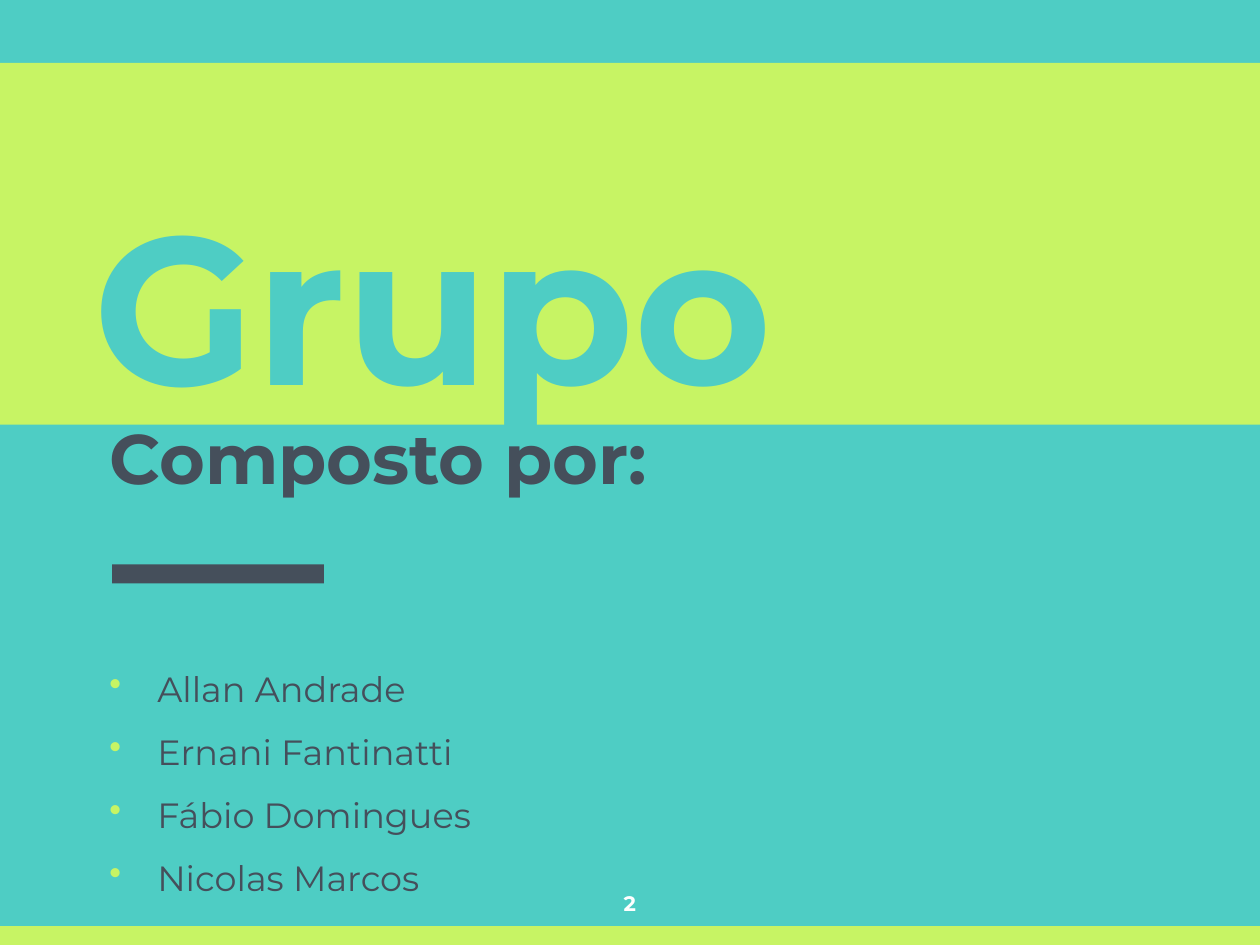
from dataclasses import dataclass
from lxml.etree import SubElement
from pptx import Presentation
from pptx.dml.color import RGBColor
from pptx.enum.shapes import MSO_SHAPE
from pptx.enum.text import MSO_ANCHOR, MSO_AUTO_SIZE, PP_ALIGN
from pptx.oxml.ns import qn
from pptx.util import Inches, Pt

COLORS = {"teal": "4ECDC4", "lime": "C7F464", "slate": "454F5B", "white": "FFFFFF"}
MEMBERS = ["Allan Andrade", "Ernani Fantinatti", "Fábio Domingues", "Nicolas Marcos"]


@dataclass
class Area:
    left: float
    top: float
    width: float
    height: float

    def lengths(self) -> list:
        return [Inches(value) for value in (self.left, self.top, self.width, self.height)]


@dataclass
class TextStyle:
    size: int
    color: str
    bold: bool = True
    align: PP_ALIGN = PP_ALIGN.LEFT
    anchor: MSO_ANCHOR = MSO_ANCHOR.TOP
    line_spacing: float = 1.0
    bulleted: bool = False


def color_of(name: str) -> RGBColor:
    return RGBColor.from_string(COLORS[name])


def add_bar(page, area: Area, color: str):
    bar = page.shapes.add_shape(MSO_SHAPE.RECTANGLE, *area.lengths())
    bar.shadow.inherit = False
    bar.fill.solid()
    bar.fill.fore_color.rgb = color_of(color)
    bar.line.fill.background()
    return bar


def add_bullet(paragraph) -> None:
    properties = paragraph._p.get_or_add_pPr()
    properties.set("marL", str(Inches(0.38)))
    properties.set("indent", str(-Inches(0.38)))
    bullet_color = SubElement(properties, qn("a:buClr"))
    SubElement(bullet_color, qn("a:srgbClr")).set("val", COLORS["lime"])
    SubElement(properties, qn("a:buChar")).set("char", "•")


def write_text(box, lines: list[str], style: TextStyle) -> None:
    frame = box.text_frame
    frame_format = {
        "word_wrap": True,
        "auto_size": MSO_AUTO_SIZE.NONE,
        "vertical_anchor": style.anchor,
        **{f"margin_{side}": Inches(0.1) for side in ("left", "top", "right", "bottom")},
    }
    for name, value in frame_format.items():
        setattr(frame, name, value)
    font_format = {"name": "Montserrat", "size": Pt(style.size), "bold": style.bold}
    for index, line in enumerate(lines):
        paragraph = frame.add_paragraph() if index else frame.paragraphs[0]
        paragraph.alignment = style.align
        paragraph.line_spacing = style.line_spacing
        if style.bulleted:
            add_bullet(paragraph)
        span = paragraph.add_run()
        span.text = line
        for name, value in font_format.items():
            setattr(span.font, name, value)
        span.font.color.rgb = color_of(style.color)


def add_text(page, area: Area, lines: list[str], style: TextStyle) -> None:
    write_text(page.shapes.add_textbox(*area.lengths()), lines, style)


def main() -> None:
    deck = Presentation()
    deck.slide_width, deck.slide_height = Inches(10), Inches(7.5)
    page = deck.slides.add_slide(deck.slide_layouts[5])
    page.background.fill.solid()
    page.background.fill.fore_color.rgb = color_of("teal")

    title = page.shapes.title
    title_area = Area(0.64, 1.8, 5.79, 1.69)
    for name, value in zip(("left", "top", "width", "height"), title_area.lengths()):
        setattr(title, name, value)
    write_text(title, ["Grupo"], TextStyle(120, "teal", anchor=MSO_ANCHOR.BOTTOM))

    for band_area in (Area(0, 7.35, 10, 0.15), Area(0, 0.5, 10, 2.87)):
        band = add_bar(page, band_area, "lime")
        title.element.addprevious(band.element)

    add_text(page, Area(0.77, 3.19, 5.9, 0.91), ["Composto por:"], TextStyle(40, "slate"))
    add_text(page, Area(0.77, 5.03, 8.2, 2.07), MEMBERS,
             TextStyle(20, "slate", bold=False, line_spacing=1.5, bulleted=True))
    add_bar(page, Area(0.89, 4.48, 1.68, 0.15), "slate")
    add_text(page, Area(4.7, 6.97, 0.6, 0.45), ["2"],
             TextStyle(12, "white", align=PP_ALIGN.CENTER))
    deck.save("out.pptx")


if __name__ == "__main__":
    main()
